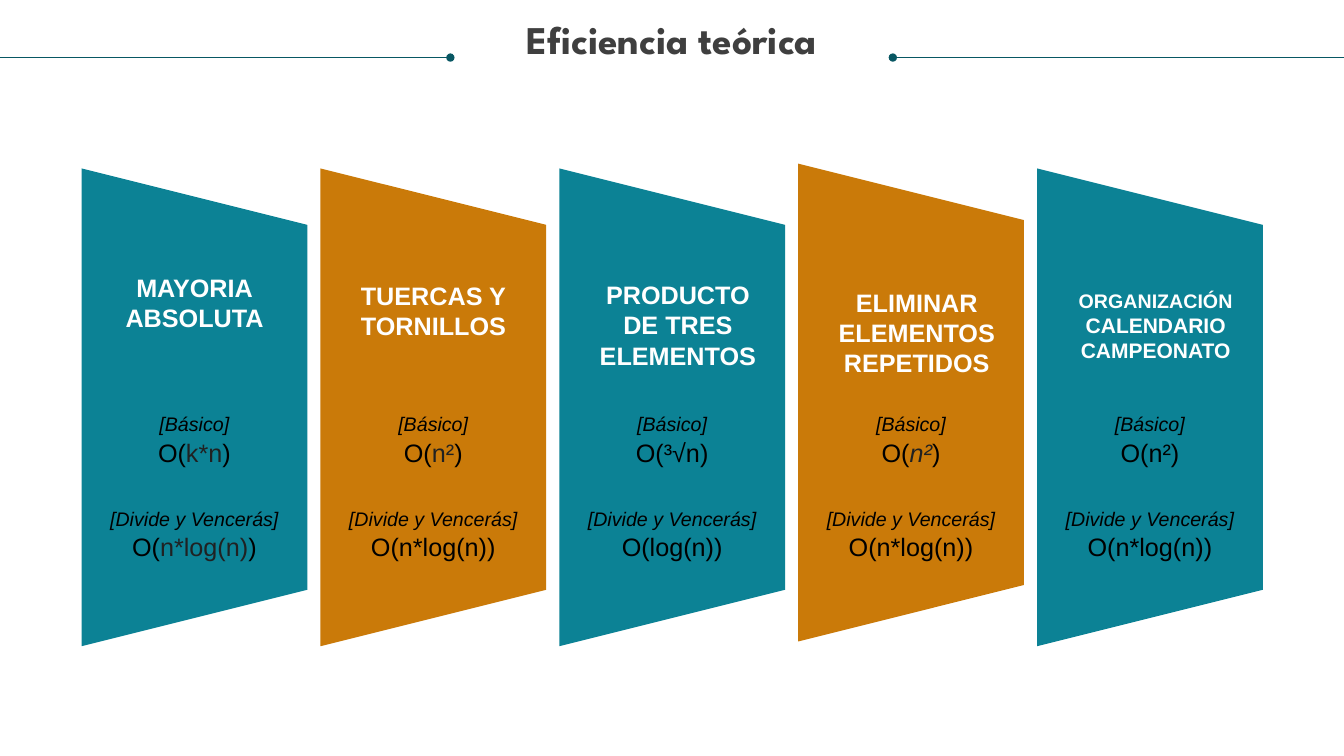
from dataclasses import dataclass
from lxml.etree import SubElement
from pptx import Presentation
from pptx.dml.color import RGBColor as RGB
from pptx.enum.shapes import MSO_CONNECTOR as CONN, MSO_SHAPE as SHAPE
from pptx.enum.text import MSO_ANCHOR as ANCHOR, MSO_AUTO_SIZE as AUTO, PP_ALIGN as ALIGN
from pptx.oxml.ns import qn
from pptx.util import Cm, Pt


@dataclass(frozen=True)
class Theme:
    teal: str = "0C8295"
    ochre: str = "CA7A09"
    rule: str = "085763"
    title: str = "3F3F3F"
    white: str = "FFFFFF"
    black: str = "000000"
    soft: str = "202122"
    title_font: str = "League Spartan"
    body_font: str = "Arial"
    title_size: int = 28
    main_size: int = 18
    medium_size: int = 15
    small_size: int = 14


T = Theme()


def frame(sp):
    tf = sp.text_frame
    tf.word_wrap = True
    tf.auto_size = AUTO.NONE
    tf.vertical_anchor = ANCHOR.TOP
    tf.margin_left = tf.margin_right = tf.margin_top = tf.margin_bottom = 0
    return tf


def add_run(p, text, size, color, bold=False, italic=False, font=T.body_font):
    p.alignment = ALIGN.CENTER
    r = p.add_run()
    r.text = text
    r.font.name = font
    r.font.size = Pt(size)
    r.font.bold = bold
    r.font.italic = italic
    r.font.color.rgb = RGB.from_string(color)


prs = Presentation()
prs.slide_width, prs.slide_height = Cm(33.87), Cm(19.05)
s = prs.slides.add_slide(prs.slide_layouts[5])

title = s.shapes.title
title.left, title.top, title.width, title.height = Cm(0.64), Cm(0.53), Cm(32.59), Cm(1.07)
p = frame(title).paragraphs[0]
p.line_spacing = 0.9
add_run(p, "Eficiencia teórica", T.title_size, T.title, bold=True, font=T.title_font)

for x1, x2, dot_end in ((22.5, 33.87, "a:headEnd"), (0, 11.35, "a:tailEnd")):
    rule = s.shapes.add_connector(CONN.STRAIGHT, Cm(x1), Cm(1.45), Cm(x2), Cm(1.45))
    rule.line.color.rgb = RGB.from_string(T.rule)
    rule.line.width = Pt(0.75)
    SubElement(rule.line._get_or_add_ln(), qn(dot_end), type="oval")
    SubElement(rule._element.spPr, qn("a:effectLst"))

STEP = 6.02
BIG, MID, SMALL = T.main_size, T.medium_size, T.small_size
NLOGN = [("O(n*log(n))", T.black, False)]
cards = [
    (7.42, 6.86, 3.81, [[("MAYORIA", BIG)], [("ABSOLUTA", BIG)]],
     [("O(", T.black, False), ("k*n", T.soft, False), (")", T.black, False)],
     [("O(", T.black, False), ("n*log(n)", T.soft, False), (")", T.black, False)]),
    (7.42, 7.06, 3.81, [[("TUERCAS Y", BIG)], [("TORNILLOS", BIG)]],
     [("O(", T.black, False), ("n²", T.soft, False), (")", T.black, False)], NLOGN),
    (7.42, 7.04, 4.09, [[("PRODUCTO DE TRES ELEMENTOS", BIG)]],
     [("O(³√n)", T.black, False)], [("O(log(n))", T.black, False)]),
    (7.3, 7.24, 4.09, [[("ELIMINAR ELEMENTOS", BIG)], [("REPETIDOS", BIG)]],
     [("O(", T.black, False), ("n²", T.soft, True), (")", T.black, False)], NLOGN),
    (7.42, 7.24, 4.09, [[("ORGANIZACIÓN", SMALL), (" CALENDARIO CAMPEONATO", MID)]],
     [("O(n²)", T.black, False)], NLOGN),
]

for i, (panel_top, head_top, head_width, heading, basic, divide) in enumerate(cards):
    dx = i * STEP
    panel = s.shapes.add_shape(SHAPE.TRAPEZOID, Cm(-1.12 + dx), Cm(panel_top), Cm(12.04), Cm(5.69))
    panel.rotation = 90
    panel.adjustments[0] = 0.25
    panel.shadow.inherit = False
    panel.fill.solid()
    panel.fill.fore_color.rgb = RGB.from_string(T.ochre if i % 2 else T.teal)
    panel.line.fill.background()

    tf = frame(s.shapes.add_textbox(Cm(2.46 + dx), Cm(10.16), Cm(4.88), Cm(3.38)))
    for j, (label, formula) in enumerate((("[Básico]", basic), ("[Divide y Vencerás]", divide))):
        p = tf.add_paragraph() if j else tf.paragraphs[0]
        p.line_spacing = 1.36
        if j:
            p.space_before = Pt(22)
        add_run(p, label, SMALL, T.black, italic=True)
        p = tf.add_paragraph()
        p.line_spacing = 1.06
        for text, color, italic in formula:
            add_run(p, text, BIG, color, italic=italic)

    tf = frame(s.shapes.add_textbox(Cm(3 + dx), Cm(head_top), Cm(head_width), Cm(0.77 * 3)))
    for j, runs in enumerate(heading):
        p = tf.add_paragraph() if j else tf.paragraphs[0]
        for text, size in runs:
            add_run(p, text, size, T.white, bold=True)

prs.save("out.pptx")
